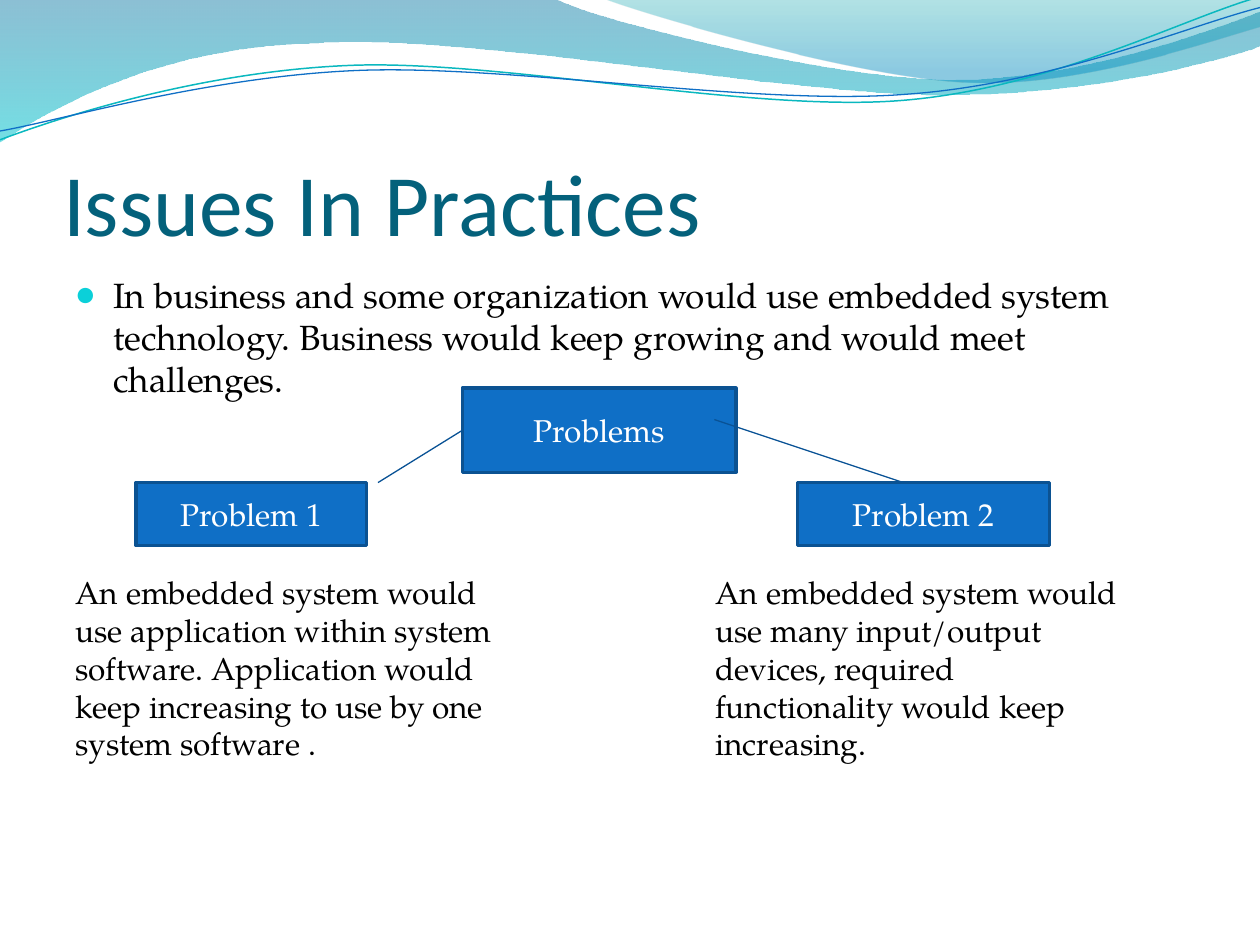
from lxml.etree import SubElement
from pptx import Presentation
from pptx.dml.color import RGBColor
from pptx.enum.shapes import MSO_CONNECTOR, MSO_SHAPE
from pptx.enum.text import MSO_ANCHOR, MSO_AUTO_SIZE, PP_ALIGN
from pptx.oxml.ns import qn
from pptx.util import Inches, Pt

BLACK = RGBColor(0x00, 0x00, 0x00)
WHITE = RGBColor(0xFF, 0xFF, 0xFF)
TITLE_TEAL = RGBColor(0x04, 0x61, 0x7B)
BOX_BLUE = RGBColor(0x0F, 0x6F, 0xC6)
BOX_EDGE = RGBColor(0x0B, 0x52, 0x92)
LINK_BLUE = RGBColor(0x09, 0x52, 0x95)
WAVE_TEAL = RGBColor(0x0A, 0xB8, 0xBF)
BULLET_TEAL = RGBColor(0x0B, 0xD0, 0xD9)
TITLE_FONT = "Calibri"
BODY_FONT = "TeX Gyre Pagella"

# Content
TITLE = "Issues In Practices"
INTRO = ("In business and some organization would use embedded system technology. "
         "Business would keep growing and would meet challenges.")
BOXES = {  # label: left, top, width, height
    "Problems": (3.67, 3.08, 2.17, 0.67),
    "Problem 1": (1.08, 3.83, 1.83, 0.5),
    "Problem 2": (6.33, 3.83, 2, 0.5),
}
DETAILS = [
    ((0.5, 4.5, 3.75, 1.62),
     "An embedded system would use application within system software. "
     "Application would keep increasing to use by one system software ."),
    ((5.58, 4.5, 3.42, 1.31),
     "An embedded system would use many input/output devices, required "
     "functionality would keep increasing."),
]
LINKS = [((3.67, 3.42), (3, 3.83)), ((5.67, 3.33), (7.17, 3.83))]

# Header waves: each step is a line (x, y) or a Bezier curve (x1, y1, x2, y2, x, y)
BANDS = [  # outline, gradient stops as position, colour, opacity in percent
    ([(0, 0), (4.4, -0.01), (4.76, 0.17, 6.64, 0.63, 7.58, 0.63),
      (8.53, 0.63, 9.58, 0.26, 10, 0.09), (10.01, 0.36),
      (9.83, 0.44, 8.7, 0.76, 7.46, 0.75), (6.22, 0.75, 3.82, 0.28, 2.57, 0.34),
      (1.29, 0.36, 0.46, 0.83, -0.01, 1.13), (0, 0)],
     [(0, RGBColor(0x00, 0x74, 0xA1), 45), (1, RGBColor(0x00, 0xC6, 0xCF), 55)]),
    ([(4.79, -0.01), (5.09, 0.11, 6.82, 0.62, 7.69, 0.65),
      (8.56, 0.69, 9.61, 0.32, 10, 0.21), (10, 0), (4.79, -0.01)],
     [(0, RGBColor(0x00, 0xA1, 0xA9), 30), (0.8, RGBColor(0x00, 0x8B, 0xBF), 45)]),
]
STRANDS = [  # outline, colour, width
    ([(0, 1.11), (0.48, 0.93, 1.58, 0.57, 2.77, 0.52),
      (3.95, 0.47, 5.93, 0.89, 7.13, 0.8), (8.33, 0.71, 9.38, 0.15, 9.98, -0.02)],
     WAVE_TEAL, 0.85),
    ([(0, 1.04), (0.47, 0.96, 1.64, 0.61, 2.83, 0.56),
      (4.03, 0.51, 5.97, 0.84, 7.17, 0.75), (8.36, 0.67, 9.41, 0.21, 10, 0.06)],
     BOX_BLUE, 0.75),
]


def inches(values):
    return [Inches(value) for value in values]


def add_wave(slide, steps, close):
    """Lay out every point with straight segments, then join threes into curves."""
    start, *rest = steps
    points = [inches(step[i:i + 2]) for step in rest for i in range(0, len(step), 2)]
    builder = slide.shapes.build_freeform(*inches(start))
    builder.add_line_segments(points, close=close)
    wave = builder.convert_to_shape()
    wave.shadow.inherit = False
    segments = iter(list(wave._element.iter(qn("a:lnTo"))))
    for step in rest:
        segment = next(segments)
        if len(step) == 6:
            segment.tag = qn("a:cubicBezTo")
            for _ in range(2):
                extra = next(segments)
                segment.append(extra[0])
                extra.getparent().remove(extra)
    return wave


def write(frame, text, size, color, font=BODY_FONT, align=PP_ALIGN.LEFT, **frame_format):
    for name, value in {"word_wrap": True, **frame_format}.items():
        setattr(frame, name, value)
    paragraph = frame.paragraphs[0]
    paragraph.alignment = align
    run = paragraph.add_run()
    run.text = text
    for name, value in {"name": font, "size": Pt(size)}.items():
        setattr(run.font, name, value)
    run.font.color.rgb = color
    return paragraph


def add_bullet(paragraph):
    properties = paragraph._p.get_or_add_pPr()
    properties.set("marL", str(Inches(0.3)))
    properties.set("indent", str(Inches(-0.3)))
    SubElement(SubElement(properties, qn("a:buClr")), qn("a:srgbClr"), val=str(BULLET_TEAL))
    SubElement(properties, qn("a:buSzPct"), val="95000")
    SubElement(properties, qn("a:buFont"), typeface=TITLE_FONT)
    SubElement(properties, qn("a:buChar"), char="●")


def main():
    deck = Presentation()
    deck.slide_width, deck.slide_height = Inches(10), Inches(7.5)
    slide = deck.slides.add_slide(deck.slide_layouts[5])
    shapes = slide.shapes

    # Header waves
    for outline, stops in BANDS:
        band = add_wave(slide, outline, close=True)
        band.fill.gradient()
        band.fill.gradient_angle = 270
        for stop, (position, color, _) in zip(band.fill.gradient_stops, stops):
            stop.position = position
            stop.color.rgb = color
        for tint, (_, _, opacity) in zip(band._element.spPr.iter(qn("a:srgbClr")), stops):
            SubElement(tint, qn("a:alpha"), val=str(opacity * 1000))
        band.line.fill.background()
    for outline, color, width in STRANDS:
        strand = add_wave(slide, outline, close=False)
        strand.fill.background()
        strand.line.color.rgb = color
        strand.line.width = Pt(width)

    # Title
    title = shapes.title
    title.left, title.top, title.width, title.height = inches((0.5, 0.77, 9, 1.25))
    write(title.text_frame, TITLE, 50, TITLE_TEAL, TITLE_FONT,
          auto_size=MSO_AUTO_SIZE.NONE, vertical_anchor=MSO_ANCHOR.BOTTOM,
          margin_left=0, margin_right=0, margin_bottom=0)

    # Introduction
    intro = shapes.add_textbox(*inches((0.5, 2.12, 9, 4.8)))
    add_bullet(write(intro.text_frame, INTRO, 20, BLACK))

    # Problem boxes
    boxes = {}
    for label, place in BOXES.items():
        box = boxes[label] = shapes.add_shape(MSO_SHAPE.RECTANGLE, *inches(place))
        box.shadow.inherit = False
        box.fill.solid()
        box.fill.fore_color.rgb = BOX_BLUE
        box.line.color.rgb = BOX_EDGE
        box.line.width = Pt(2)
        write(box.text_frame, label, 18, WHITE, align=PP_ALIGN.CENTER,
              vertical_anchor=MSO_ANCHOR.MIDDLE)

    # Links from the main box
    links = []
    for start, end in LINKS:
        link = shapes.add_connector(MSO_CONNECTOR.STRAIGHT, *inches(start + end))
        link.line.color.rgb = LINK_BLUE
        link.line.width = Pt(0.75)
        SubElement(link._element.spPr, qn("a:effectLst"))
        links.append(link)
    links[0].begin_connect(boxes["Problems"], 1)

    # Details under the boxes
    for place, text in DETAILS:
        detail = shapes.add_textbox(*inches(place))
        write(detail.text_frame, text, 18, BLACK,
              auto_size=MSO_AUTO_SIZE.SHAPE_TO_FIT_TEXT)

    deck.save("out.pptx")


if __name__ == "__main__":
    main()
